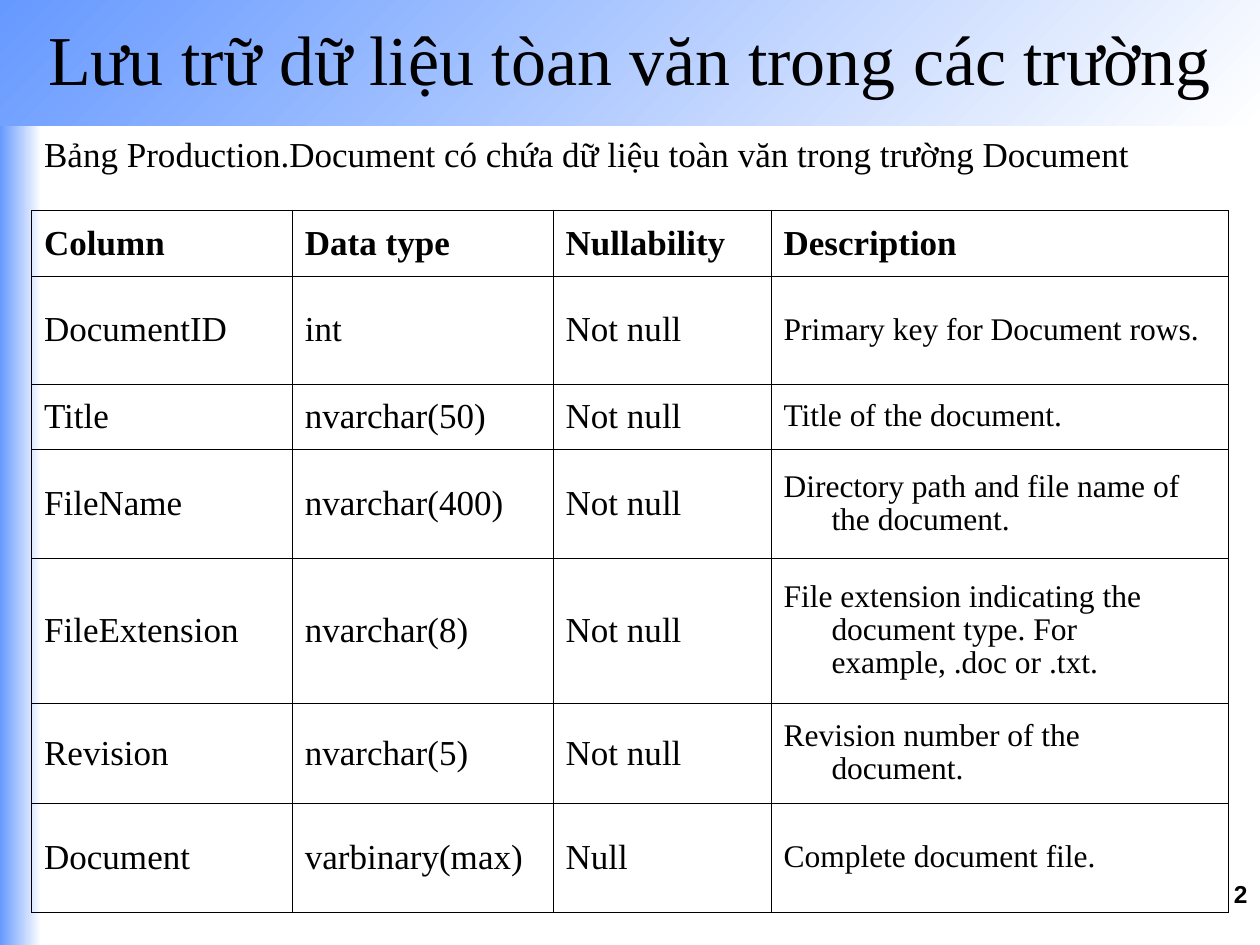
from dataclasses import dataclass

from lxml import etree
from pptx import Presentation
from pptx.dml.color import RGBColor
from pptx.enum.shapes import MSO_SHAPE
from pptx.enum.text import MSO_ANCHOR, MSO_AUTO_SIZE, PP_ALIGN
from pptx.oxml.ns import qn
from pptx.util import Inches, Pt

RECTANGLE = MSO_SHAPE.RECTANGLE
MIDDLE, TOP = MSO_ANCHOR.MIDDLE, MSO_ANCHOR.TOP
LEFT, CENTER, RIGHT = PP_ALIGN.LEFT, PP_ALIGN.CENTER, PP_ALIGN.RIGHT
NO_AUTOFIT = MSO_AUTO_SIZE.NONE


@dataclass(frozen=True)
class Theme:
    blue: str = "6699FF"
    white: str = "FFFFFF"
    black: str = "000000"
    serif: str = "Times New Roman"
    sans: str = "Arial"
    title: int = 40
    body: int = 20
    description: int = 18
    page_number: int = 14
    border: float = 0.45
    hanging: float = 0.38
    description_spacing: float = 0.95


@dataclass(frozen=True)
class Frame:
    left: float
    top: float
    width: float
    height: float

    def lengths(self) -> tuple:
        return tuple(map(Inches, (self.left, self.top, self.width, self.height)))


@dataclass(frozen=True)
class Band:
    frame: Frame
    angle: int


@dataclass(frozen=True)
class Column:
    name: str
    data_type: str
    nullability: str
    description: str

    def texts(self) -> tuple:
        return self.name, self.data_type, self.nullability, self.description


THEME = Theme()
BANDS = (Band(Frame(0, 0, 0.33, 7.5), 0), Band(Frame(0, 0, 10, 1), 315))
TITLE = "Lưu trữ dữ liệu tòan văn trong các trường"
INTRODUCTION = "Bảng Production.Document có chứa dữ liệu toàn văn trong trường Document"
HEADER = Column("Column", "Data type", "Nullability", "Description")
COLUMNS = (
    Column("DocumentID", "int", "Not null", "Primary key for Document rows."),
    Column("Title", "nvarchar(50)", "Not null", "Title of the document."),
    Column("FileName", "nvarchar(400)", "Not null",
           "Directory path and file name of the document."),
    Column("FileExtension", "nvarchar(8)", "Not null",
           "File extension indicating the document type. For example, .doc or .txt."),
    Column("Revision", "nvarchar(5)", "Not null", "Revision number of the document."),
    Column("Document", "varbinary(max)", "Null", "Complete document file."),
)
TABLE_FRAME = Frame(0.25, 1.67, 9.5, 5.55)
COLUMN_WIDTHS = (2.07, 2.07, 1.73, 3.63)
ROW_HEIGHTS = (0.52, 0.86, 0.52, 0.86, 1.15, 0.8, 0.86)


def write(para, text: str, size: int, font: str = THEME.serif,
          bold: bool = False, align=LEFT) -> None:
    para.alignment = align
    para.space_before = Pt(0)
    span = para.add_run()
    span.text = text
    span.font.name = font
    span.font.size = Pt(size)
    span.font.bold = bold
    span.font.color.rgb = RGBColor.from_string(THEME.black)


def hang(para) -> None:
    properties = para._p.get_or_add_pPr()
    properties.set("marL", str(Inches(THEME.hanging)))
    properties.set("indent", str(-Inches(THEME.hanging)))
    etree.SubElement(properties, qn("a:buNone"))


def place(box, frame: Frame, anchor) -> None:
    box.left, box.top, box.width, box.height = frame.lengths()
    box.text_frame.word_wrap = True
    box.text_frame.auto_size = NO_AUTOFIT
    box.text_frame.vertical_anchor = anchor


def draw_band(page, band: Band, position: int) -> None:
    box = page.shapes.add_shape(RECTANGLE, *band.frame.lengths())
    box.shadow.inherit = False
    box.line.fill.background()
    box.fill.gradient()
    box.fill.gradient_angle = band.angle
    for stop, color in zip(box.fill.gradient_stops, (THEME.blue, THEME.white)):
        stop.color.rgb = RGBColor.from_string(color)
    first_shape_index = 2
    page.shapes._spTree.insert(first_shape_index + position, box._element)


def draw_borders(cell) -> None:
    properties = cell._tc.get_or_add_tcPr()
    for side in ("lnL", "lnR", "lnT", "lnB"):
        line = etree.SubElement(properties, qn(f"a:{side}"), w=str(Pt(THEME.border)))
        fill = etree.SubElement(line, qn("a:solidFill"))
        etree.SubElement(fill, qn("a:srgbClr"), val=THEME.black)


def draw_cell(cell, text: str, is_header: bool, is_description: bool) -> None:
    draw_borders(cell)
    cell.fill.background()
    cell.vertical_anchor = MIDDLE
    para = cell.text_frame.paragraphs[0]
    hang(para)
    small = is_description and not is_header
    if small:
        para.line_spacing = THEME.description_spacing
    write(para, text, THEME.description if small else THEME.body, bold=is_header)


def draw_table(page) -> None:
    rows = (HEADER, *COLUMNS)
    table = page.shapes.add_table(
        len(rows), len(COLUMN_WIDTHS), *TABLE_FRAME.lengths()).table
    table.first_row = False
    table.horz_banding = False
    for column, width in zip(table.columns, COLUMN_WIDTHS):
        column.width = Inches(width)
    for row, height in zip(table.rows, ROW_HEIGHTS):
        row.height = Inches(height)
    last = len(COLUMN_WIDTHS) - 1
    for row_index, row in enumerate(rows):
        for column_index, text in enumerate(row.texts()):
            draw_cell(table.cell(row_index, column_index), text,
                      row_index == 0, column_index == last)


def main() -> None:
    deck = Presentation()
    deck.slide_width, deck.slide_height = Inches(10), Inches(7.5)
    page = deck.slides.add_slide(deck.slide_layouts[1])
    for position, band in enumerate(BANDS):
        draw_band(page, band, position)

    title = page.shapes.title
    place(title, Frame(0, 0, 10, 0.92), MIDDLE)
    write(title.text_frame.paragraphs[0], TITLE, THEME.title, align=CENTER)

    body = page.placeholders[1]
    place(body, Frame(0.25, 1, 9.58, 0.75), TOP)
    introduction = body.text_frame.paragraphs[0]
    hang(introduction)
    write(introduction, INTRODUCTION, THEME.body)

    draw_table(page)

    number_frame = Frame(7.17, 6.93, 2.83, 0.52)
    number = page.shapes.add_textbox(*number_frame.lengths())
    place(number, number_frame, TOP)
    write(number.text_frame.paragraphs[0], "2", THEME.page_number,
          THEME.sans, True, RIGHT)
    deck.save("out.pptx")


if __name__ == "__main__":
    main()
